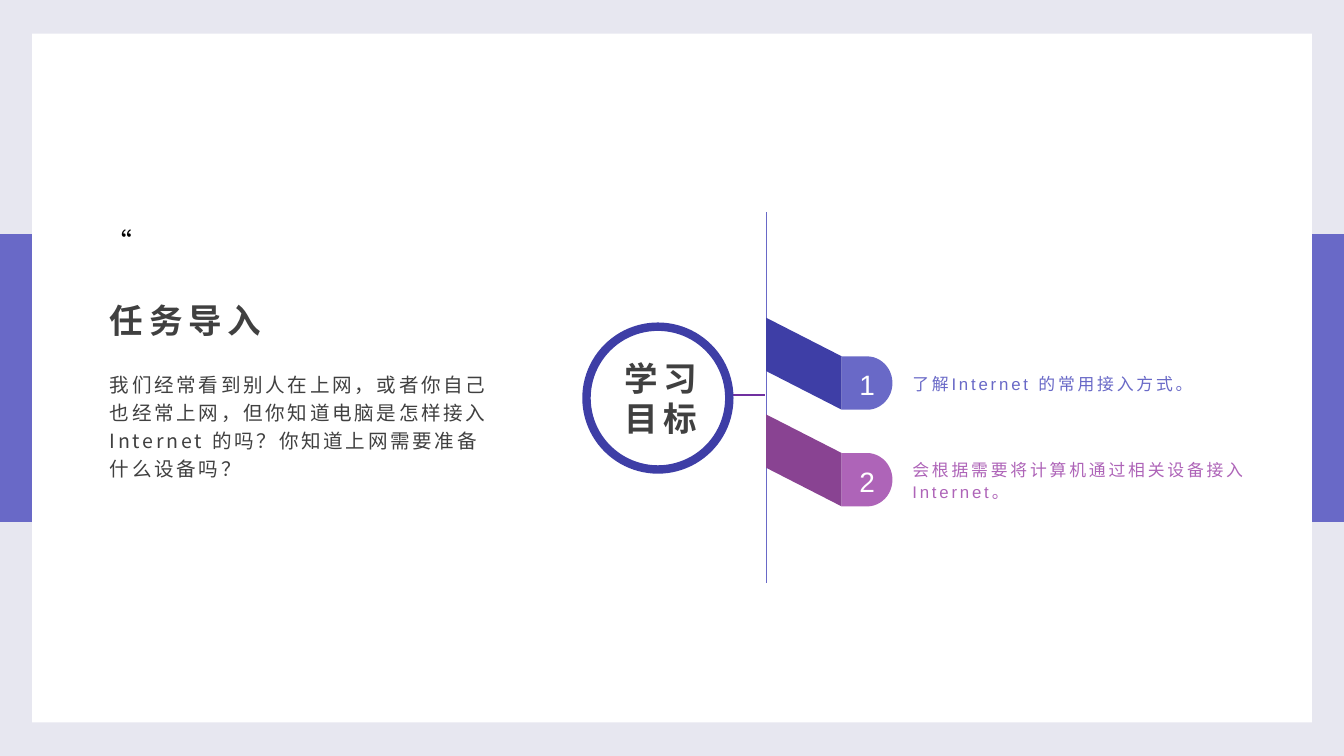
from lxml.etree import SubElement
from pptx import Presentation
from pptx.dml.color import RGBColor
from pptx.enum.shapes import MSO_CONNECTOR as Connector, MSO_SHAPE as Shape
from pptx.enum.text import MSO_ANCHOR as Anchor, PP_ALIGN as Align
from pptx.oxml.ns import qn
from pptx.util import Pt

BACKGROUND = RGBColor(0xE7, 0xE7, 0xF0)
WHITE = RGBColor(0xFF, 0xFF, 0xFF)
BLACK = RGBColor(0x00, 0x00, 0x00)
GREY = RGBColor(0x40, 0x40, 0x40)
BLUE = RGBColor(0x69, 0x69, 0xC7)
DARK_BLUE = RGBColor(0x3E, 0x3E, 0xA6)
PURPLE = RGBColor(0xAE, 0x64, 0xB8)
DARK_PURPLE = RGBColor(0x89, 0x43, 0x92)
LINK_PURPLE = RGBColor(0x70, 0x30, 0xA0)

CJK = "Noto Sans CJK SC"
LATIN = "Arial"
AXIS_X = 410.4
TAG_X = 450.9
TAG_HEIGHT = 28.6
FOLD_DROP = 20.7
GOALS = [
    ("1", "了解Internet 的常用接入方式。", 170.2, BLUE, DARK_BLUE),
    ("2", "会根据需要将计算机通过相关设备接入Internet。", 222, PURPLE, DARK_PURPLE),
]


def write_text(shape, text, size, color, font=CJK, bold=False, tracking=0,
               align=Align.LEFT, anchor=Anchor.TOP, spacing=1.0,
               insets=(7.2, 3.6, 7.2, 3.6)):
    """Fill a shape with formatted text, one paragraph for each line."""
    frame = shape.text_frame
    frame.word_wrap = True
    frame.vertical_anchor = anchor
    (frame.margin_left, frame.margin_top,
     frame.margin_right, frame.margin_bottom) = map(Pt, insets)
    for index, line in enumerate(text.split("\n")):
        paragraph = frame.add_paragraph() if index else frame.paragraphs[0]
        paragraph.alignment = align
        paragraph.line_spacing = spacing
        run = paragraph.add_run()
        run.text = line
        run.font.name = font
        run.font.size = Pt(size)
        run.font.bold = bold
        run.font.color.rgb = color
        properties = run._r.get_or_add_rPr()
        properties.set("spc", str(int(tracking * 100)))
        SubElement(properties, qn("a:ea"), typeface=CJK)


def add_text(slide, box, text, **style):
    """Add a text box."""
    write_text(slide.shapes.add_textbox(*map(Pt, box)), text, **style)


def paint(shape, fill, line=None, width=0):
    """Set fill and outline, without shadow."""
    shape.shadow.inherit = False
    shape.fill.solid()
    shape.fill.fore_color.rgb = fill
    if line is None:
        shape.line.fill.background()
    else:
        shape.line.color.rgb = line
        shape.line.width = Pt(width)


def add_shape(slide, kind, box, fill, **outline):
    """Add a painted preset shape."""
    shape = slide.shapes.add_shape(kind, *map(Pt, box))
    paint(shape, fill, **outline)
    return shape


def add_line(slide, ends, color, width):
    """Add a straight line without shadow."""
    line = slide.shapes.add_connector(Connector.STRAIGHT, *map(Pt, ends))
    line.line.color.rgb = color
    line.line.width = Pt(width)
    SubElement(line._element.spPr, qn("a:effectLst"))


def add_goal(slide, number, text, top, color, fold_color):
    """Add a folded ribbon with its number tag and goal text."""
    tag_top = top + FOLD_DROP
    corners = [(TAG_X, tag_top), (TAG_X, tag_top + TAG_HEIGHT),
               (AXIS_X, top + TAG_HEIGHT)]
    builder = slide.shapes.build_freeform(Pt(AXIS_X), Pt(top))
    builder.add_line_segments([(Pt(x), Pt(y)) for x, y in corners])
    paint(builder.convert_to_shape(), fold_color)
    tag = add_shape(slide, Shape.FLOWCHART_DELAY,
                    (TAG_X, tag_top, 27.2, TAG_HEIGHT), color)
    write_text(tag, number, size=15, color=WHITE, font=LATIN, tracking=3,
               align=Align.CENTER, anchor=Anchor.MIDDLE, spacing=1.1,
               insets=(4, 0, 0, 0))
    add_text(slide, (481.7, tag_top - 1.5, 213.8, 31.7), text, size=9,
             color=color, font=LATIN, tracking=1.5, anchor=Anchor.MIDDLE,
             spacing=1.1)


def main():
    """Build the slide and save it."""
    presentation = Presentation()
    presentation.slide_width = Pt(720)
    presentation.slide_height = Pt(405)
    slide = presentation.slides.add_slide(presentation.slide_layouts[6])
    slide.background.fill.solid()
    slide.background.fill.fore_color.rgb = BACKGROUND
    add_shape(slide, Shape.RECTANGLE, (0, 125.4, 720, 154.2), BLUE)
    add_shape(slide, Shape.RECTANGLE, (17.2, 18, 685.6, 369), WHITE)

    add_text(slide, (51.8, 112.3, 24.5, 28.8), "“", size=14.4, color=BLACK,
             anchor=Anchor.MIDDLE, spacing=1.3, insets=(5, 2.9, 5, 2.9))
    add_text(slide, (51.8, 152.6, 196.6, 33.8), "任务导入", size=18,
             color=GREY, bold=True, tracking=3, spacing=1.2)
    add_text(slide, (51.8, 193.7, 220.3, 68.4),
             "我们经常看到别人在上网，或者你自己也经常上网，但你知道电脑是"
             "怎样接入Internet 的吗？你知道上网需要准备什么设备吗？",
             size=10.5, color=GREY, tracking=1.5, spacing=1.2)

    add_line(slide, (392.4, 211.7, 409.7, 211.7), LINK_PURPLE, 0.75)
    add_shape(slide, Shape.OVAL, (314.2, 175, 76.5, 76.5), WHITE,
              line=DARK_BLUE, width=4.5)
    add_text(slide, (315.4, 199.4, 77, 27.4), "学习\n目标", size=18,
             color=GREY, bold=True, tracking=3, align=Align.CENTER,
             anchor=Anchor.MIDDLE)
    add_line(slide, (AXIS_X, 113.8, AXIS_X, 312.5), BLUE, 0.5)
    for goal in GOALS:
        add_goal(slide, *goal)
    presentation.save("out.pptx")


if __name__ == "__main__":
    main()
